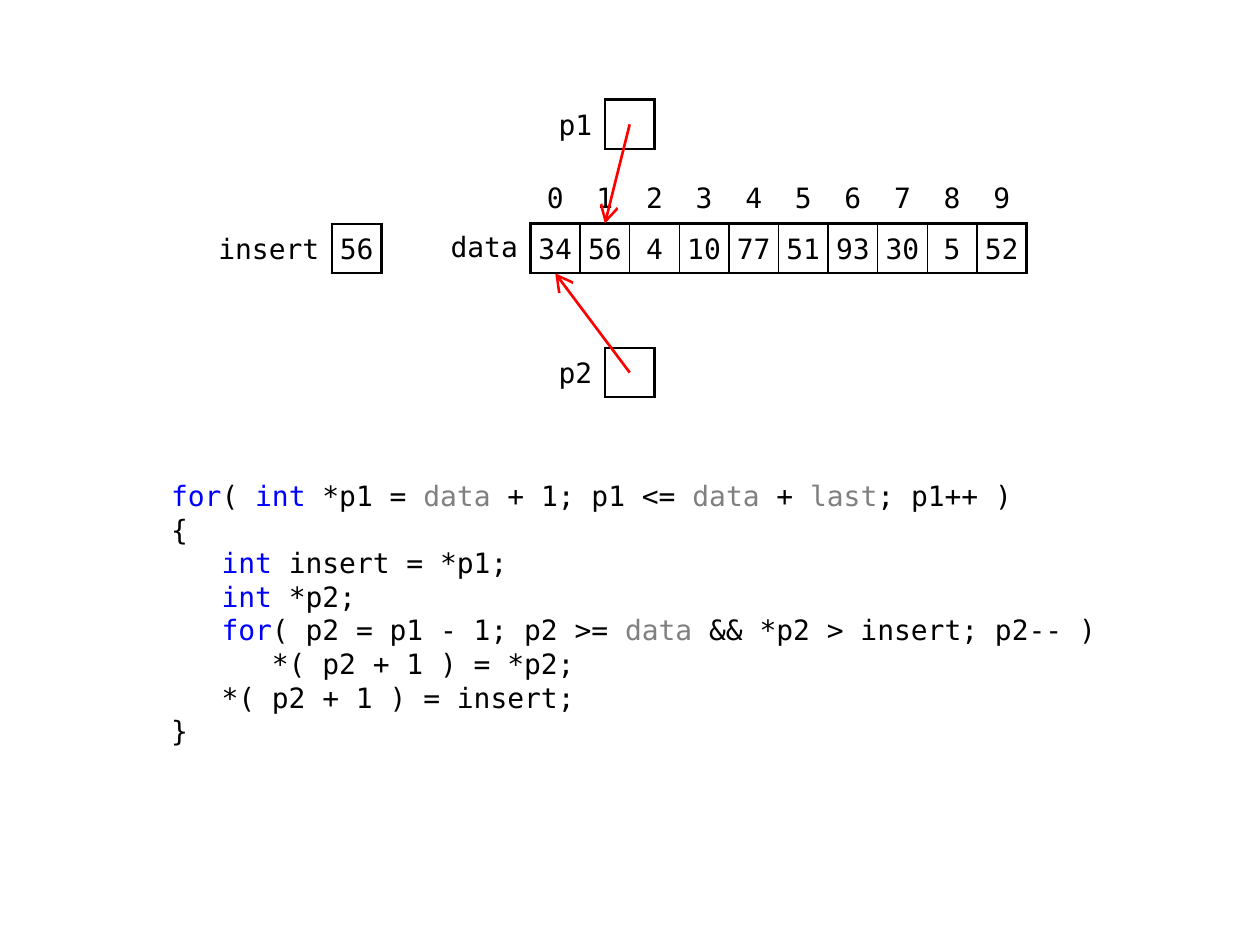
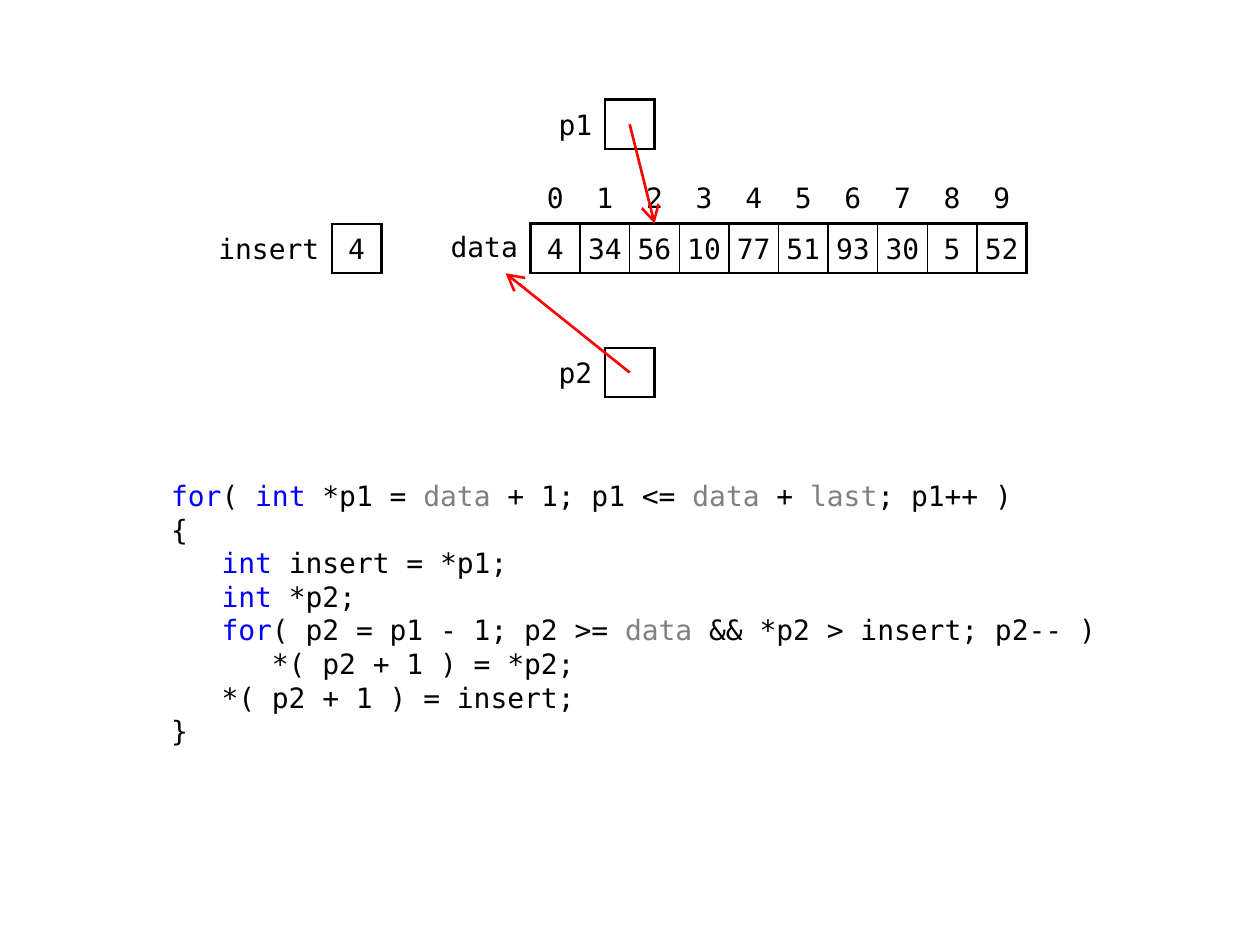
import dataclasses

import lxml.etree
import pptx
import pptx.dml.color
import pptx.enum.shapes
import pptx.enum.text
import pptx.oxml.ns
import pptx.util

Inches = pptx.util.Inches
Align = pptx.enum.text.PP_ALIGN

STEPS = [
    {"insert": 56, "data": [34, 56, 4, 10, 77, 51, 93, 30, 5, 52], "p1": 1, "p2": 0},
    {"insert": 4, "data": [4, 34, 56, 10, 77, 51, 93, 30, 5, 52], "p1": 2, "p2": -1},
]

CODE = [
    (0, [("for", "keyword"), ("( ", "text"), ("int", "keyword"), (" *p1 = ", "text"),
         ("data", "parameter"), (" + 1; p1 <= ", "text"), ("data", "parameter"),
         (" + ", "text"), ("last", "parameter"), ("; p1++ )", "text")]),
    (0, [("{", "text")]),
    (1, [("int", "keyword"), (" insert = *p1;", "text")]),
    (1, [("int", "keyword"), (" *p2;", "text")]),
    (1, [("for", "keyword"), ("( p2 = p1 - 1; p2 >= ", "text"),
         ("data", "parameter"), (" && *p2 > insert; p2-- )", "text")]),
    (2, [("*( p2 + 1 ) = *p2;", "text")]),
    (1, [("*( p2 + 1 ) = insert;", "text")]),
    (0, [("}", "text")]),
]


@dataclasses.dataclass(frozen=True)
class Theme:
    font: str = "DejaVu Sans Mono"
    size: float = 16
    line_spacing: float = 19.2
    text: str = "000000"
    keyword: str = "0000FF"
    parameter: str = "808080"
    arrow: str = "FF0000"
    frame: float = 1.5
    divider: float = 1


THEME = Theme()
DATA_LEFT, DATA_WIDTH, DATA_COUNT = 4.21, 3.94, 10
CELL = DATA_WIDTH / DATA_COUNT
P1_TOP = 0.79
INDEX_TOP = P1_TOP + 1.5 * CELL
DATA_TOP = INDEX_TOP + CELL
P2_TOP = P1_TOP + 5 * CELL
CODE_INDENT = 0.4

LABEL_MARGINS = (0.02, 0.04, 0.1, 0.02)
DATA_LABEL_MARGINS = (0.1, 0.04, 0.1, 0.05)
VALUE_MARGINS = (0, 0.04, 0, 0.02)
NO_MARGINS = (0, 0, 0, 0)
BOX = dict.fromkeys("LRTB", THEME.frame)


def add_text(paragraph, text, color=THEME.text, alignment=Align.LEFT):
    paragraph.alignment = alignment
    run = paragraph.add_run()
    run.text = text
    run.font.name = THEME.font
    run.font.size = pptx.util.Pt(THEME.size)
    run.font.color.rgb = pptx.dml.color.RGBColor.from_string(color)


def set_margins(target, margins):
    target.margin_left, target.margin_top, target.margin_right, target.margin_bottom = map(Inches, margins)


def add_xml(parent, tag, **attributes):
    return lxml.etree.SubElement(parent, pptx.oxml.ns.qn(tag), attributes)


def set_borders(cell, borders):
    properties = cell._tc.get_or_add_tcPr()
    for side in "LRTB":
        width = borders.get(side, 0)
        line = add_xml(properties, f"a:ln{side}", w=str(pptx.util.Pt(width)))
        if width:
            add_xml(add_xml(line, "a:solidFill"), "a:srgbClr", val=THEME.text)
        else:
            add_xml(line, "a:noFill")


def fill_cell(cell, text="", margins=NO_MARGINS, borders=None, alignment=Align.CENTER):
    set_margins(cell, margins)
    cell.vertical_anchor = pptx.enum.text.MSO_ANCHOR.MIDDLE
    set_borders(cell, borders or {})
    cell.fill.background()
    if text != "":
        add_text(cell.text_frame.paragraphs[0], str(text), alignment=alignment)


def add_grid(slide, left, top, rows, label_cells, box_count):
    widths = [label_cells * CELL] + [CELL] * box_count
    frame = slide.shapes.add_table(rows, len(widths), Inches(left), Inches(top),
                                   Inches(sum(widths)), Inches(rows * CELL))
    table = frame.table
    table.first_row = table.horz_banding = False
    for column, width in zip(table.columns, widths):
        column.width = Inches(width)
    for row in table.rows:
        row.height = Inches(CELL)
    return table


def add_variable(slide, left, top, name, label_cells, value=""):
    table = add_grid(slide, left, top, 1, label_cells, 1)
    fill_cell(table.cell(0, 0), name, LABEL_MARGINS, {"R": THEME.frame}, Align.RIGHT)
    fill_cell(table.cell(0, 1), value, VALUE_MARGINS, BOX)


def add_data(slide, values):
    table = add_grid(slide, DATA_LEFT - 2 * CELL, INDEX_TOP, 2, 2, DATA_COUNT)
    fill_cell(table.cell(0, 0))
    fill_cell(table.cell(1, 0), "data", DATA_LABEL_MARGINS, {"R": THEME.frame}, Align.RIGHT)
    for index, value in enumerate(values):
        borders = dict(BOX)
        if index > 0:
            borders["L"] = THEME.divider
        if index < DATA_COUNT - 1:
            borders["R"] = THEME.divider
        fill_cell(table.cell(0, index + 1), index, borders={"B": THEME.frame})
        fill_cell(table.cell(1, index + 1), value, VALUE_MARGINS, borders)


def add_code(slide):
    box = slide.shapes.add_textbox(Inches(1.26), Inches(3.75), Inches(7.48), Inches(2.36))
    frame = box.text_frame
    frame.word_wrap = True
    set_margins(frame, (0.1, 0.05, 0, 0.05))
    for number, (level, spans) in enumerate(CODE):
        paragraph = frame.add_paragraph() if number else frame.paragraphs[0]
        paragraph.line_spacing = pptx.util.Pt(THEME.line_spacing)
        paragraph._p.get_or_add_pPr().set("marL", str(Inches(level * CODE_INDENT)))
        for text, role in spans:
            add_text(paragraph, text, color=getattr(THEME, role))


def add_pointer_arrow(slide, pointer_top, index, target_y):
    start = (DATA_LEFT + 2 * CELL, pointer_top + CELL / 2)
    end = (DATA_LEFT + (index + 0.5) * CELL, target_y)
    connector = slide.shapes.add_connector(pptx.enum.shapes.MSO_CONNECTOR.STRAIGHT,
                                           *map(Inches, start + end))
    connector.line.color.rgb = pptx.dml.color.RGBColor.from_string(THEME.arrow)
    connector.line.width = pptx.util.Pt(THEME.frame)
    add_xml(connector.line._get_or_add_ln(), "a:tailEnd", type="arrow", w="lg", len="lg")
    add_xml(connector._element.spPr, "a:effectLst")


def add_step(presentation, step):
    slide = presentation.slides.add_slide(presentation.slide_layouts[6])
    add_variable(slide, DATA_LEFT - 6.5 * CELL, DATA_TOP, "insert", 2.5, step["insert"])
    add_code(slide)
    add_data(slide, step["data"])
    pointers = [("p1", P1_TOP, DATA_TOP), ("p2", P2_TOP, DATA_TOP + CELL)]
    for name, top, _ in pointers:
        add_variable(slide, DATA_LEFT, top, name, 1.5)
    for name, top, target_y in pointers:
        add_pointer_arrow(slide, top, step[name], target_y)


def main():
    presentation = pptx.Presentation()
    presentation.slide_width = Inches(10)
    presentation.slide_height = Inches(7.5)
    for step in STEPS:
        add_step(presentation, step)
    presentation.save("out.pptx")


if __name__ == "__main__":
    main()
